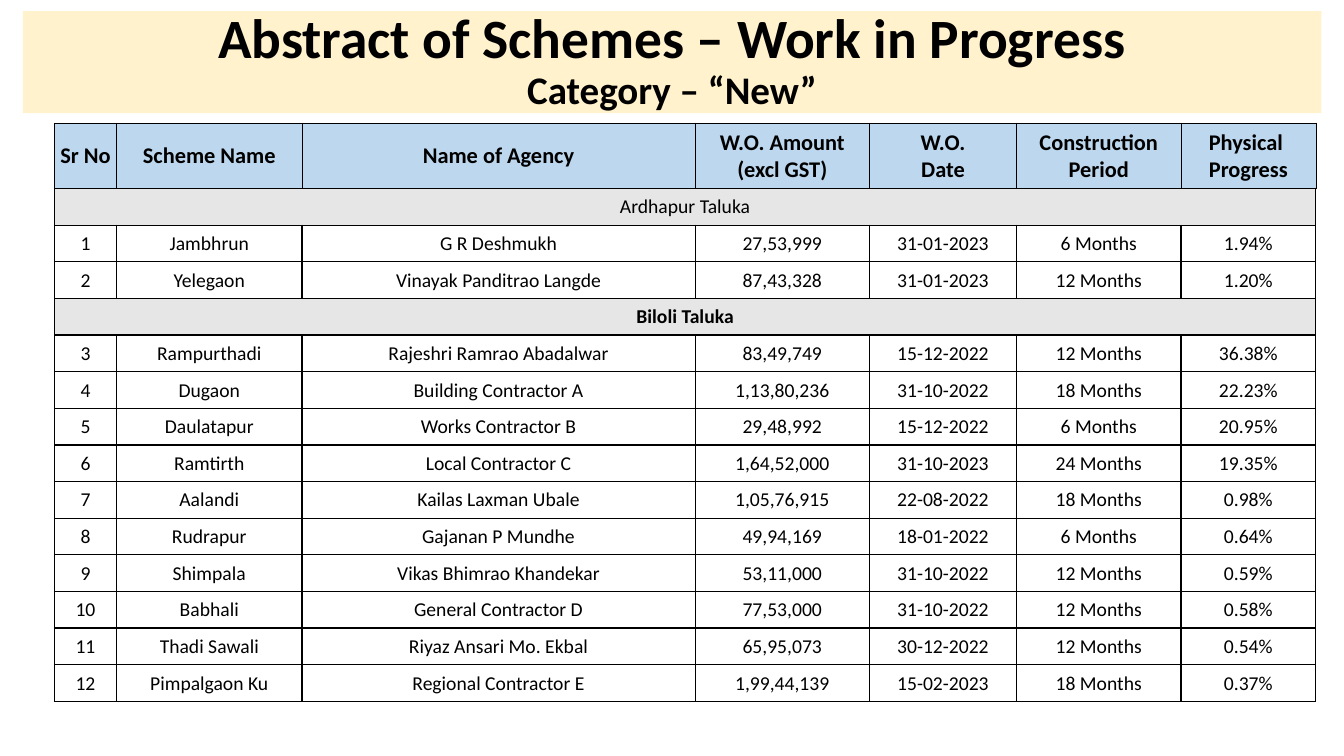
import lxml.etree
import pptx
import pptx.dml.color
import pptx.enum.shapes
import pptx.enum.text
import pptx.oxml.ns
import pptx.util

Cm = pptx.util.Cm
Pt = pptx.util.Pt

FONT = "Calibri"
COLOURS = {
    "ink": "000000",
    "banner": "FFF2CC",
    "header": "BDD7EE",
    "taluka": "E7E6E6",
}
COLUMN_WIDTHS = [1.57, 4.67, 9.91, 4.39, 3.71, 4.14, 3.4]
TABLE_LEFT = 1.37

# Each heading is a list of paragraphs; "\n" is a line break within one.
HEADINGS = [
    ["Sr No"],
    ["Scheme Name"],
    ["Name of Agency"],
    ["W.O. Amount\n(excl GST)"],
    ["W.O.\nDate"],
    ["Construction\nPeriod"],
    ["Physical ", "Progress"],
]

# Taluka name, whether it is bold, and its schemes.
TALUKAS = [
    ("Ardhapur Taluka", False, [
        ("Jambhrun", "G R Deshmukh", "27,53,999", "31-01-2023", "6 Months", "1.94%"),
        ("Yelegaon", "Vinayak Panditrao Langde", "87,43,328", "31-01-2023", "12 Months", "1.20%"),
    ]),
    ("Biloli Taluka", True, [
        ("Rampurthadi", "Rajeshri Ramrao Abadalwar", "83,49,749", "15-12-2022", "12 Months", "36.38%"),
        ("Dugaon", "Building Contractor A", "1,13,80,236", "31-10-2022", "18 Months", "22.23%"),
        ("Daulatapur", "Works Contractor B", "29,48,992", "15-12-2022", "6 Months", "20.95%"),
        ("Ramtirth", "Local Contractor C", "1,64,52,000", "31-10-2023", "24 Months", "19.35%"),
        ("Aalandi", "Kailas Laxman Ubale", "1,05,76,915", "22-08-2022", "18 Months", "0.98%"),
        ("Rudrapur", "Gajanan P Mundhe", "49,94,169", "18-01-2022", "6 Months", "0.64%"),
        ("Shimpala", "Vikas Bhimrao Khandekar", "53,11,000", "31-10-2022", "12 Months", "0.59%"),
        ("Babhali", "General Contractor D", "77,53,000", "31-10-2022", "12 Months", "0.58%"),
        ("Thadi Sawali", "Riyaz Ansari Mo. Ekbal", "65,95,073", "30-12-2022", "12 Months", "0.54%"),
        ("Pimpalgaon Ku", "Regional Contractor E", "1,99,44,139", "15-02-2023", "18 Months", "0.37%"),
    ]),
]


def colour(name):
    return pptx.dml.color.RGBColor.from_string(COLOURS[name])


def add_span(para, text, size, bold):
    span = para.add_run()
    span.text = text
    span.font.name = FONT
    span.font.size = Pt(size)
    span.font.bold = bold
    span.font.color.rgb = colour("ink")


def add_lines(para, lines, bold):
    """Centre the (text, size) lines in one paragraph, parted by line breaks."""
    para.alignment = pptx.enum.text.PP_ALIGN.CENTER
    for index, (text, size) in enumerate(lines):
        if index:
            para.add_line_break()
        add_span(para, text, size, bold)


def add_banner(page):
    box = page.shapes.add_shape(
        pptx.enum.shapes.MSO_SHAPE.RECTANGLE, Cm(0.58), Cm(0.28), Cm(32.72), Cm(2.57))
    box.shadow.inherit = False
    box.fill.solid()
    box.fill.fore_color.rgb = colour("banner")
    box.line.fill.background()
    frame = box.text_frame
    frame.word_wrap = True
    frame.vertical_anchor = pptx.enum.text.MSO_ANCHOR.MIDDLE
    para = frame.paragraphs[0]
    para.line_spacing = 0.9
    add_lines(para, [("Abstract of Schemes – Work in Progress", 39.6),
                     ("Category – “New”", 27.9)], True)


def set_borders(cell, widths):
    """Draw the cell's left, right, top and bottom lines, widths in points."""
    properties = cell._tc.get_or_add_tcPr()
    for index, (side, width) in enumerate(zip("LRTB", widths)):
        line = lxml.etree.Element(pptx.oxml.ns.qn("a:ln" + side), w=str(Pt(width)))
        fill = lxml.etree.SubElement(line, pptx.oxml.ns.qn("a:solidFill"))
        lxml.etree.SubElement(fill, pptx.oxml.ns.qn("a:srgbClr"), val=COLOURS["ink"])
        properties.insert(index, line)


def fill_cell(cell, paragraphs, size, bold, fill, borders):
    cell.margin_left = cell.margin_right = cell.margin_top = Cm(0.02)
    cell.margin_bottom = 0
    cell.vertical_anchor = pptx.enum.text.MSO_ANCHOR.MIDDLE
    if fill:
        cell.fill.solid()
        cell.fill.fore_color.rgb = colour(fill)
    else:
        cell.fill.background()
    set_borders(cell, borders)
    frame = cell.text_frame
    for index, text in enumerate(paragraphs):
        para = frame.add_paragraph() if index else frame.paragraphs[0]
        add_lines(para, [(line, size) for line in text.split("\n")], bold)


def add_grid(page, rows, top, height):
    frame = page.shapes.add_table(rows, len(COLUMN_WIDTHS), Cm(TABLE_LEFT), Cm(top),
                                  Cm(sum(COLUMN_WIDTHS)), Cm(height))
    table = frame.table
    table.first_row = False
    table.horz_banding = False
    for column, width in zip(table.columns, COLUMN_WIDTHS):
        column.width = Cm(width)
    return table


def add_heading_table(page):
    table = add_grid(page, 1, 3.1, 1.65)
    for column, heading in enumerate(HEADINGS):
        fill_cell(table.cell(0, column), heading, 16, True, "header", [0.5, 0.5, 0.5, 1])


def add_scheme_table(page):
    rows = sum(1 + len(schemes) for _, _, schemes in TALUKAS)
    table = add_grid(page, rows, 4.75, 12.93)
    borders = [1, 1, 1, 1]
    row = serial = 0
    for taluka, bold, schemes in TALUKAS:
        heading = table.cell(row, 0)
        heading.merge(table.cell(row, len(COLUMN_WIDTHS) - 1))
        fill_cell(heading, [taluka], 14, bold, "taluka", borders)
        row += 1
        for scheme in schemes:
            serial += 1
            for column, text in enumerate((str(serial), *scheme)):
                fill_cell(table.cell(row, column), [text], 14, False, None, borders)
            row += 1


def main():
    deck = pptx.Presentation()
    deck.slide_width = Cm(33.87)
    deck.slide_height = Cm(19.05)
    page = deck.slides.add_slide(deck.slide_layouts[6])
    add_banner(page)
    add_heading_table(page)
    add_scheme_table(page)
    deck.save("out.pptx")


if __name__ == "__main__":
    main()
